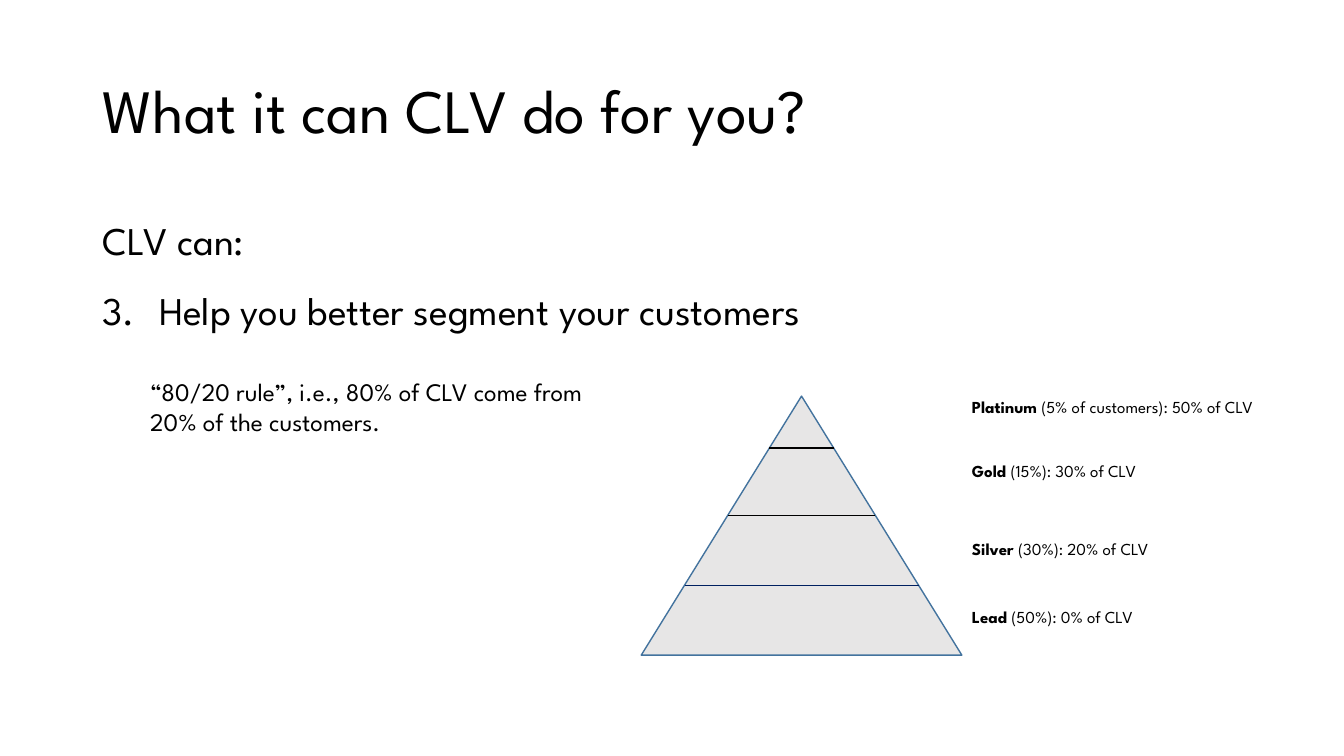
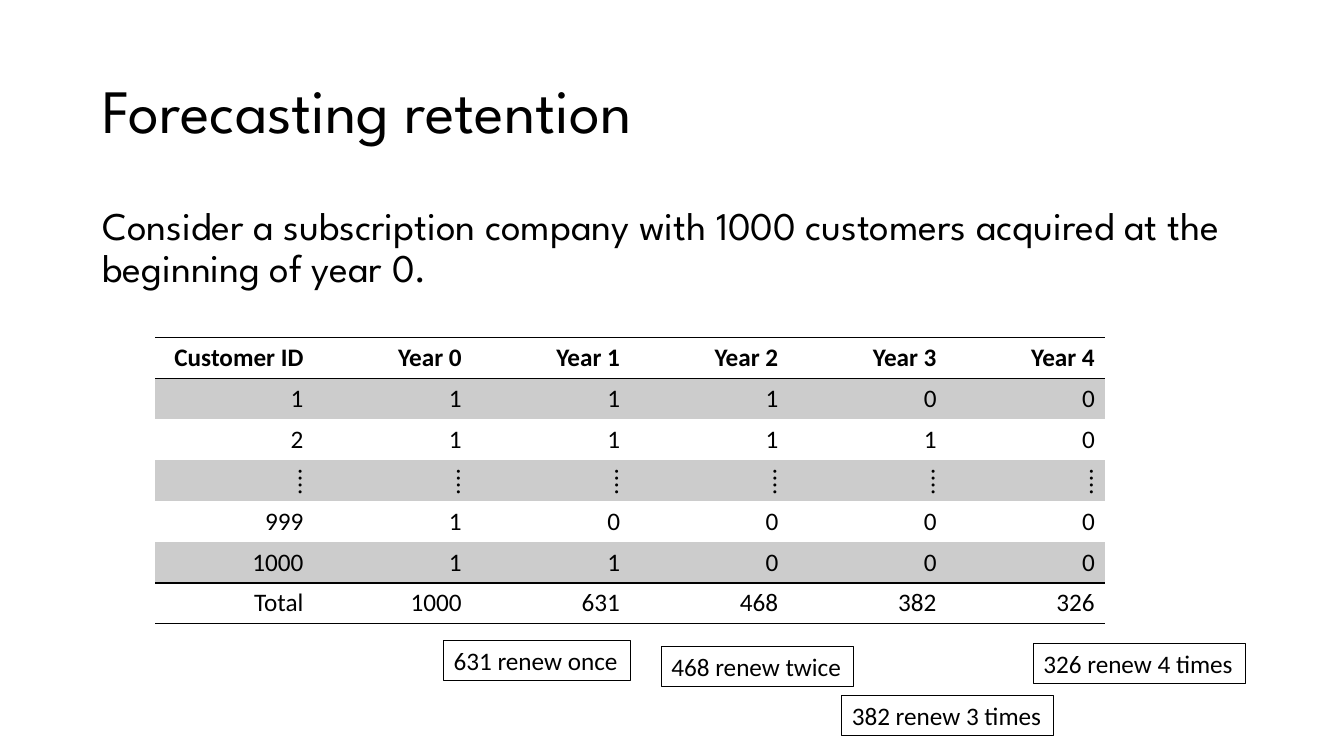
from lxml import etree
from pptx import Presentation
from pptx.dml.color import RGBColor
from pptx.enum.shapes import MSO_CONNECTOR, MSO_SHAPE
from pptx.enum.text import MSO_ANCHOR, MSO_AUTO_SIZE, PP_ALIGN
from pptx.oxml.ns import qn
from pptx.util import Inches, Pt

TRIANGLE = MSO_SHAPE.ISOSCELES_TRIANGLE
STRAIGHT = MSO_CONNECTOR.STRAIGHT
MIDDLE = MSO_ANCHOR.MIDDLE
FIT_SHAPE = MSO_AUTO_SIZE.SHAPE_TO_FIT_TEXT
RIGHT = PP_ALIGN.RIGHT

HEADING_FONT = "League Spartan"
DATA_FONT = "Calibri"
BLACK = "000000"
NAVY = "002060"
PALE_GREY = "E7E6E6"
BAND_GREY = "CCCCCC"
STEEL_BLUE = "43739E"
PLAIN_TABLE_STYLE = "{2D5ABB26-0587-4C30-8999-92F81FD0307C}"

TITLE_BOX = (0.92, 0.4, 11.5, 1.45)
BODY_BOX = (0.92, 2, 11.5, 4.76)

# Depth of each dividing line as a share of the pyramid's height
PYRAMID_LEVELS = [(0.2, BLACK), (0.46, BLACK), (0.73, NAVY)]
TIERS = [
    (3.89, "Platinum", " (5% of customers): 50% of CLV"),
    (4.52, "Gold", " (15%): 30% of CLV"),
    (5.3, "Silver", " (30%): 20% of CLV"),
    (5.97, "Lead", " (50%): 0% of CLV"),
]
RETENTION_ROWS = [
    ["Customer ID"] + [f"Year {year}" for year in range(5)],
    ["1", "1", "1", "1", "0", "0"],
    ["2", "1", "1", "1", "1", "0"],
    ["⁞"] * 6,
    ["999", "1", "0", "0", "0", "0"],
    ["1000", "1", "1", "0", "0", "0"],
    ["Total", "1000", "631", "468", "382", "326"],
]
SHADED_ROWS = (1, 3, 5)
BORDERED_ROWS = {0: ("T", "B"), 5: ("B",), 6: ("T", "B")}
RENEWALS = [
    ((4.4, 6.35, 1.85, 0.4), "631 renew once"),
    ((6.56, 6.41, 1.91, 0.4), "468 renew twice"),
    ((8.35, 6.9, 2.1, 0.4), "382 renew 3 times"),
    ((10.25, 6.38, 2.1, 0.4), "326 renew 4 times"),
]


def color(hex_text):
    return RGBColor.from_string(hex_text)


def inches(box):
    return [Inches(length) for length in box]


def format_span(span, size, font=HEADING_FONT, bold=False):
    span.font.size = Pt(size)
    span.font.name = font
    span.font.bold = bold
    span.font.color.rgb = color(BLACK)


def add_text(page, box, lines, size, font=HEADING_FONT, spacing=1.0, before=0, wrap=True):
    shape = page.shapes.add_textbox(*inches(box))
    frame = shape.text_frame
    frame.word_wrap = wrap
    frame.text = "\n".join(lines)
    for para in frame.paragraphs:
        para.line_spacing = spacing
        para.space_before = Pt(before)
        for span in para.runs:
            format_span(span, size, font)
    return shape


def add_page(deck, title):
    page = deck.slides.add_slide(deck.slide_layouts[6])
    heading = add_text(page, TITLE_BOX, [title], 44, spacing=0.9)
    heading.text_frame.vertical_anchor = MIDDLE
    return page


def add_body(page, lines, spacing):
    return add_text(page, BODY_BOX, lines, 28, spacing=spacing, before=10)


def number_paragraph(para, start, indent=0.56):
    properties = para._p.get_or_add_pPr()
    properties.set("marL", str(Inches(indent)))
    properties.set("indent", str(-Inches(indent)))
    numbering = etree.SubElement(properties, qn("a:buAutoNum"))
    numbering.set("type", "arabicPeriod")
    numbering.set("startAt", str(start))


def add_rule(page, left, right, top, hex_text):
    rule = page.shapes.add_connector(STRAIGHT, *inches((left, top, right, top)))
    rule.line.color.rgb = color(hex_text)
    rule.line.width = Pt(1)
    etree.SubElement(rule._element.spPr, qn("a:effectLst"))


def add_pyramid(page, box):
    left, top, width, height = box
    pyramid = page.shapes.add_shape(TRIANGLE, *inches(box))
    pyramid.shadow.inherit = False
    pyramid.fill.solid()
    pyramid.fill.fore_color.rgb = color(PALE_GREY)
    pyramid.line.color.rgb = color(STEEL_BLUE)
    pyramid.line.width = Pt(1)
    center = left + width / 2
    for depth, hex_text in PYRAMID_LEVELS:
        reach = depth * width / 2
        add_rule(page, center - reach, center + reach, top + depth * height, hex_text)


def add_tier_labels(page, left):
    for top, name, share in TIERS:
        label = add_text(page, (left, top, 3.38, 0.3), [name], 12)
        para = label.text_frame.paragraphs[0]
        para.runs[0].font.bold = True
        span = para.add_run()
        span.text = share
        format_span(span, 12)


def add_cell_border(cell, side):
    line = etree.SubElement(cell._tc.get_or_add_tcPr(), qn(f"a:ln{side}"))
    line.set("w", str(Pt(1)))
    fill = etree.SubElement(line, qn("a:solidFill"))
    etree.SubElement(fill, qn("a:srgbClr")).set("val", BLACK)


def fill_cell(cell, text, row):
    cell.text = text
    para = cell.text_frame.paragraphs[0]
    para.alignment = RIGHT
    format_span(para.runs[0], 18, DATA_FONT, bold=row == 0)
    for side in BORDERED_ROWS.get(row, ()):
        add_cell_border(cell, side)
    if row in SHADED_ROWS:
        cell.fill.solid()
        cell.fill.fore_color.rgb = color(BAND_GREY)
    else:
        cell.fill.background()


def add_retention_table(page, box):
    row_count, column_count = len(RETENTION_ROWS), len(RETENTION_ROWS[0])
    table = page.shapes.add_table(row_count, column_count, *inches(box)).table
    table.first_row = False
    table.horz_banding = False
    table._tbl.tblPr.find(qn("a:tableStyleId")).text = PLAIN_TABLE_STYLE
    for row, values in enumerate(RETENTION_ROWS):
        for column, text in enumerate(values):
            fill_cell(table.cell(row, column), text, row)


def add_renewal_labels(page):
    for box, text in RENEWALS:
        label = add_text(page, box, [text], 18, DATA_FONT, wrap=False)
        label.text_frame.auto_size = FIT_SHAPE
        label.line.color.rgb = color(BLACK)
        label.line.width = Pt(0.75)


def build_segment_page(deck):
    page = add_page(deck, "What it can CLV do for you?")
    body = add_body(page, ["CLV can:", "Help you better segment your customers"], 1.2)
    number_paragraph(body.text_frame.paragraphs[1], 3)
    add_pyramid(page, (6.36, 3.93, 3.18, 2.57))
    add_tier_labels(page, 9.54)
    rule_text = "“80/20 rule”, i.e., 80% of CLV come from 20% of the customers."
    add_text(page, (1.39, 3.68, 4.85, 0.71), [rule_text], 18)


def build_retention_page(deck):
    page = add_page(deck, "Forecasting retention")
    statement = (
        "Consider a subscription company with 1000 customers "
        "acquired at the beginning of year 0."
    )
    add_body(page, [statement], 0.9)
    add_retention_table(page, (1.54, 3.35, 9.42, 2.84))
    add_renewal_labels(page)


def main():
    deck = Presentation()
    deck.slide_width = Inches(13.33)
    deck.slide_height = Inches(7.5)
    build_segment_page(deck)
    build_retention_page(deck)
    deck.save("out.pptx")


if __name__ == "__main__":
    main()
